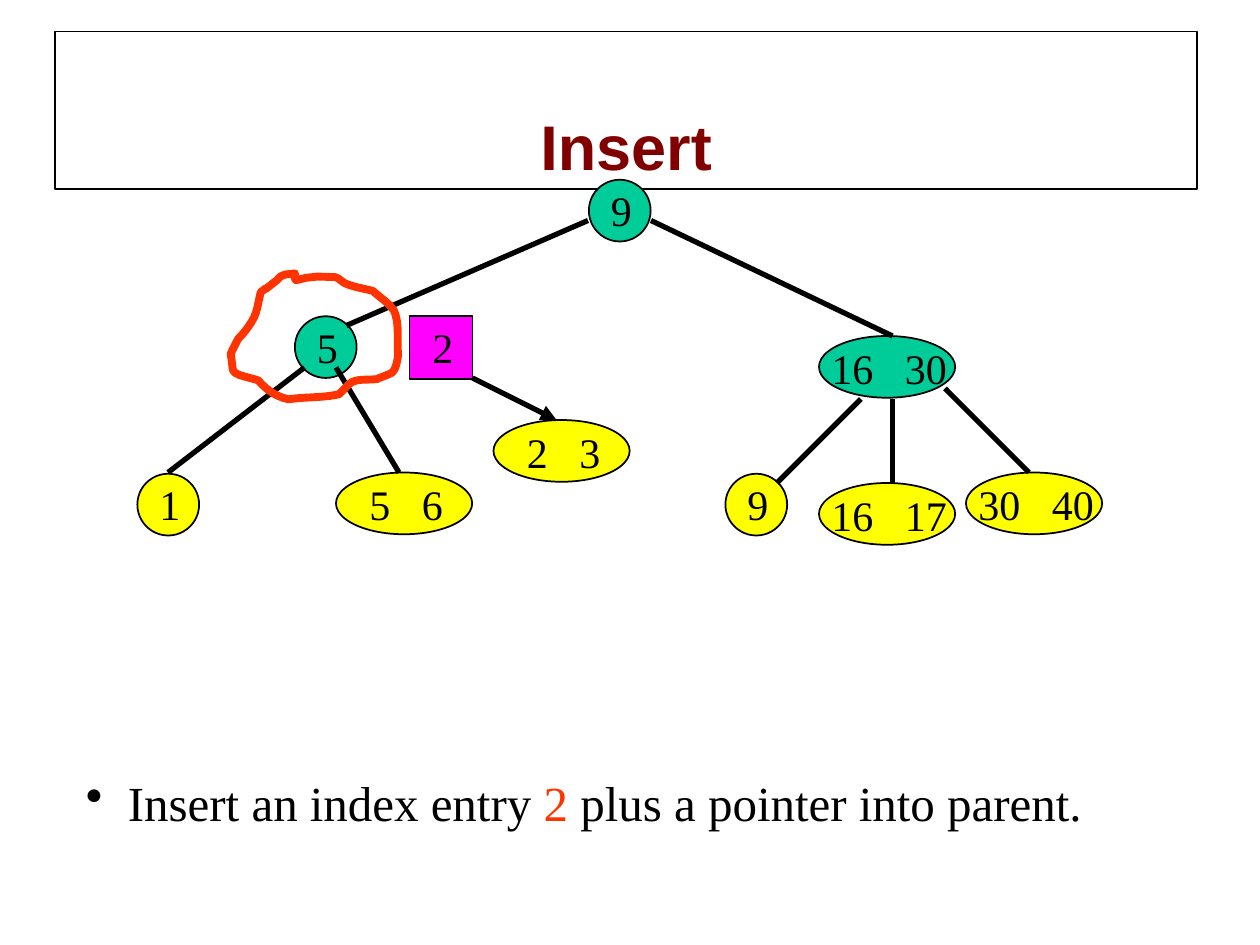
from dataclasses import dataclass
from typing import Optional

import pptx
import pptx.dml.color
import pptx.enum.shapes
import pptx.enum.text
import pptx.oxml.ns
import pptx.util
from lxml import etree

Pt = pptx.util.Pt
RGB = pptx.dml.color.RGBColor
MSO = pptx.enum.shapes.MSO_SHAPE
ANCHOR = pptx.enum.text.MSO_ANCHOR
ALIGN = pptx.enum.text.PP_ALIGN
qn = pptx.oxml.ns.qn

BLACK = RGB(0x00, 0x00, 0x00)
MAROON = RGB(0x80, 0x00, 0x00)
GREEN = RGB(0x00, 0xCC, 0x99)
YELLOW = RGB(0xFF, 0xFF, 0x00)
MAGENTA = RGB(0xFF, 0x00, 0xFF)
RED = RGB(0xFF, 0x33, 0x00)

TITLE_FONT = dict(name="Arial", size=Pt(36), bold=True)
KEY_FONT = dict(name="Times New Roman", size=Pt(24))
BODY_FONT = dict(name="Times New Roman", size=Pt(28))


@dataclass(frozen=True)
class Kind:
    """Size of a node, and where its key label sits inside it."""
    preset: int
    w: float
    h: float
    dx: float
    dy: float
    label_w: float
    tab: Optional[float] = None


@dataclass(frozen=True)
class Node:
    kind: Kind
    x: float
    y: float
    keys: str
    fill: RGB


@dataclass(frozen=True)
class Edge:
    x1: float
    y1: float
    x2: float
    y2: float
    arrow: bool = False


ONE = Kind(MSO.OVAL, 35.3, 35.3, 5.5, -0.7, 30)
SMALL_PAIR = Kind(MSO.OVAL, 77.8, 35.3, 12, 0, 60, tab=30)
LARGE_PAIR = Kind(MSO.OVAL, 77.8, 35.3, 0, 0, 108, tab=42)
ENTRY = Kind(MSO.RECTANGLE, 36, 36, 6, -0.7, 54)

NODES = [
    Node(ONE, 336.5, 102.7, "9", GREEN),
    Node(ONE, 168.5, 180.7, "5", GREEN),
    Node(LARGE_PAIR, 468, 192, "16\t30", GREEN),
    Node(ENTRY, 234, 180.7, "2", MAGENTA),
    Node(ONE, 78.5, 270.7, "1", YELLOW),
    Node(SMALL_PAIR, 192, 270, "5\t6", YELLOW),
    Node(SMALL_PAIR, 282, 240, "2\t3", YELLOW),
    Node(ONE, 414.5, 270.7, "9", YELLOW),
    Node(LARGE_PAIR, 468, 276, "16\t17", YELLOW),
    Node(LARGE_PAIR, 552, 270, "30\t40", YELLOW),
]

EDGES = [
    Edge(336, 126, 198, 186),
    Edge(372, 126, 510, 192),
    Edge(174, 210, 96, 270),
    Edge(192, 210, 228, 270),
    Edge(492, 228, 444, 276),
    Edge(510, 228, 510, 276),
    Edge(540, 222, 588, 270),
    Edge(270, 216, 318, 240, arrow=True),
]

# Hand-drawn ring: start point, then two controls and an end per curve
RING_START = (168.5, 156.2)
RING_CURVES = [
    ((166.3, 157), (163.4, 156.2), (161.3, 157.7)),
    ((159.8, 157.7), (159.1, 159.8), (157.7, 160.6)),
    ((146.2, 169.9), (156.2, 161.3), (149, 167)),
    ((147.6, 172.8), (146.9, 179.3), (144, 183.6)),
    ((141.8, 187.2), (139, 190.8), (136.1, 193.7)),
    ((134.6, 196.6), (133.2, 199.4), (131.8, 202.3)),
    ((132.5, 205.2), (132.5, 208.1), (133.2, 211.7)),
    ((133.9, 214.6), (144, 216), (147.6, 217.4)),
    ((151.9, 222.5), (157.7, 226.8), (164.9, 228.2)),
    ((174.2, 226.8), (184.3, 227.5), (193.7, 225.4)),
    ((195.8, 223.2), (197.3, 221.8), (199.4, 219.6)),
    ((203, 216), (210.2, 217.4), (215.3, 216.7)),
    ((218.2, 215.3), (221, 214.6), (223.9, 213.1)),
    ((226.8, 211), (227.5, 203), (227.5, 203)),
    ((226.8, 195.1), (228.2, 187.2), (226.1, 180)),
    ((225.4, 175), (216.7, 169.9), (213.1, 166.3)),
    ((208.1, 164.9), (202.3, 164.2), (197.3, 162)),
    ((196.6, 162), (193, 158.4), (191.5, 158.4)),
    ((167.8, 156.2), (168.5, 164.9), (168.5, 156.2)),
]


def add_run(p, text: str, fmt: dict, color: RGB) -> None:
    r = p.add_run()
    r.text = text
    for name, value in fmt.items():
        setattr(r.font, name, value)
    r.font.color.rgb = color


def set_outline(sp, color: RGB, width: float) -> None:
    sp.shadow.inherit = False
    sp.line.color.rgb = color
    sp.line.width = Pt(width)


def add_box(s, x: float, y: float, w: float, h: float):
    sp = s.shapes.add_textbox(Pt(x), Pt(y), Pt(w), Pt(h))
    tf = sp.text_frame
    tf.word_wrap = True
    tf.auto_size = pptx.enum.text.MSO_AUTO_SIZE.SHAPE_TO_FIT_TEXT
    return tf.paragraphs[0]


def add_node(s, n: Node) -> None:
    k = n.kind
    sp = s.shapes.add_shape(k.preset, Pt(n.x), Pt(n.y), Pt(k.w), Pt(k.h))
    sp.fill.solid()
    sp.fill.fore_color.rgb = n.fill
    set_outline(sp, BLACK, 1)


def add_keys(s, n: Node) -> None:
    k = n.kind
    p = add_box(s, n.x + k.dx, n.y + k.dy, k.label_w, 36)
    if k.tab:
        tabs = etree.SubElement(p._p.get_or_add_pPr(), qn("a:tabLst"))
        etree.SubElement(tabs, qn("a:tab"), pos=str(Pt(k.tab)), algn="l")
    add_run(p, n.keys, KEY_FONT, BLACK)


def add_edge(s, e: Edge) -> None:
    cx = s.shapes.add_connector(pptx.enum.shapes.MSO_CONNECTOR.STRAIGHT,
                                Pt(e.x1), Pt(e.y1), Pt(e.x2), Pt(e.y2))
    cx.line.color.rgb = BLACK
    cx.line.width = Pt(3)
    if e.arrow:
        etree.SubElement(cx.line._get_or_add_ln(), qn("a:tailEnd"), type="triangle")
    etree.SubElement(cx._element.spPr, qn("a:effectLst"))


def add_ring(s, steps: int = 6) -> None:
    points, a = [], RING_START
    for b, c, d in RING_CURVES:
        for t in (i / steps for i in range(1, steps + 1)):
            u = 1 - t
            points.append(tuple(
                Pt(u**3 * a[i] + 3 * u * u * t * b[i] + 3 * u * t * t * c[i] + t**3 * d[i])
                for i in (0, 1)))
        a = d
    fb = s.shapes.build_freeform(Pt(RING_START[0]), Pt(RING_START[1]))
    fb.add_line_segments(points, close=True)
    sp = fb.convert_to_shape()
    sp.fill.background()
    set_outline(sp, RED, 4.5)


def add_title(s, text: str) -> None:
    sp = s.shapes.add_shape(MSO.RECTANGLE, Pt(31.5), Pt(18), Pt(652.5), Pt(90))
    sp.fill.background()
    set_outline(sp, BLACK, 0.75)
    sp.text_frame.vertical_anchor = ANCHOR.BOTTOM
    p = sp.text_frame.paragraphs[0]
    p.alignment = ALIGN.CENTER
    add_run(p, text, TITLE_FONT, MAROON)


def add_bullet(s, runs: list) -> None:
    p = add_box(s, 42, 438, 636, 41)
    pPr = p._p.get_or_add_pPr()
    pPr.set("marL", str(Pt(24)))
    pPr.set("indent", str(-Pt(24)))
    etree.SubElement(pPr, qn("a:buChar"), char="•")
    for text, color in runs:
        add_run(p, text, BODY_FONT, color)


def main() -> None:
    prs = pptx.Presentation()
    prs.slide_width, prs.slide_height = Pt(720), Pt(540)
    s = prs.slides.add_slide(prs.slide_layouts[6])

    add_title(s, "Insert")

    # Tree: nodes, then edges, then key labels on top
    for draw, items in ((add_node, NODES), (add_edge, EDGES), (add_keys, NODES)):
        for item in items:
            draw(s, item)
    add_ring(s)

    # Explanation
    add_bullet(s, [("Insert an index entry ", BLACK), ("2 ", RED),
                   ("plus a pointer into parent.", BLACK)])
    prs.save("out.pptx")


if __name__ == "__main__":
    main()
